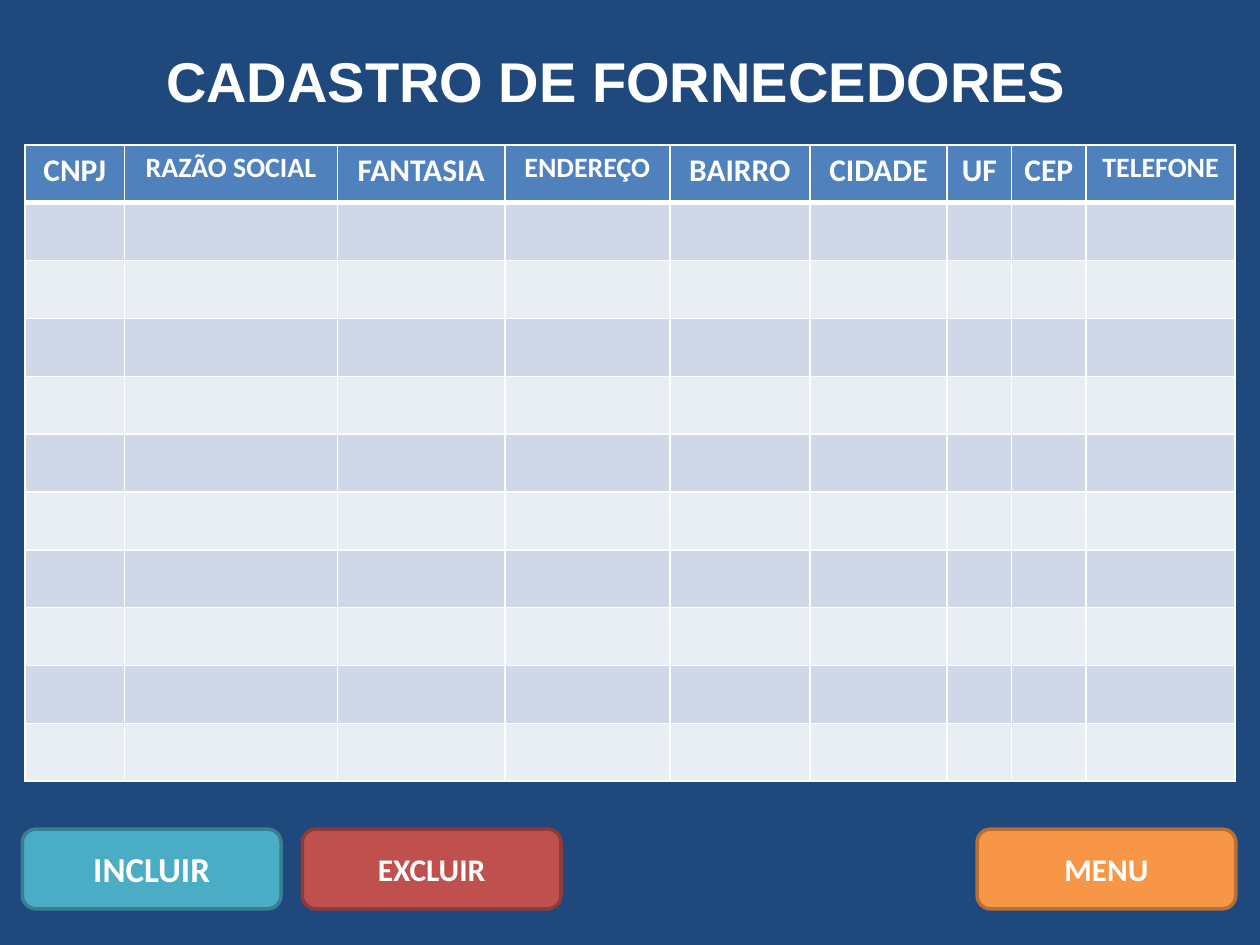
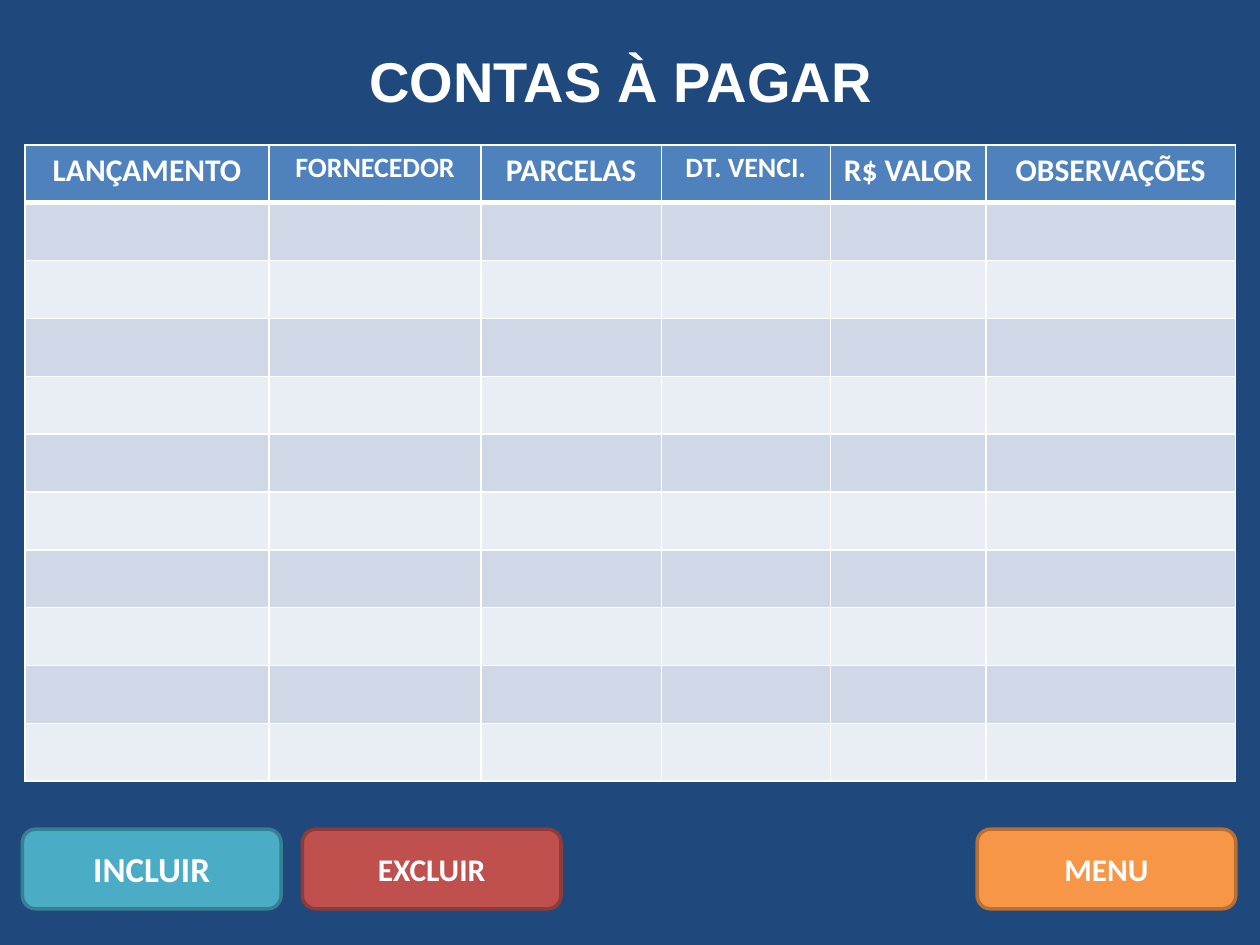
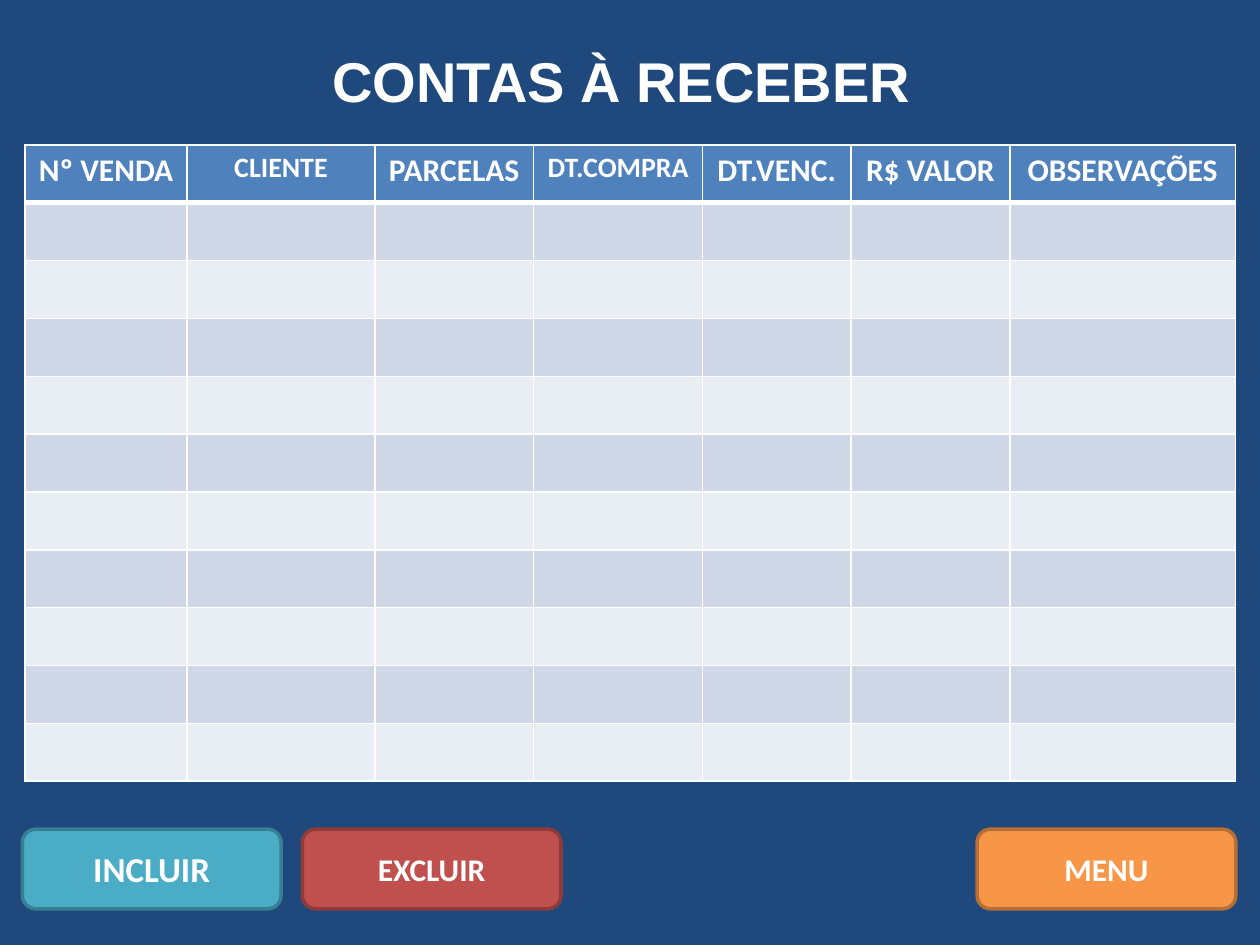
from dataclasses import dataclass
from typing import Any

from lxml import etree
from pptx import Presentation
from pptx import util as u
from pptx.dml.color import RGBColor
from pptx.enum import shapes, text
from pptx.oxml.ns import qn
from pptx.slide import Slide

COLOURS = {
    "background": "1F497D",
    "white": "FFFFFF",
    "header": "4F81BD",
    "odd_row": "D0D8E8",
    "even_row": "E9EDF4",
    "teal": "4BACC6",
    "teal_line": "377F92",
    "red": "C0504D",
    "red_line": "8E3B39",
    "orange": "F79646",
    "orange_line": "B76F34",
}

SLIDE_WIDTH, SLIDE_HEIGHT = 720, 540
TITLE_TOP, TITLE_HEIGHT = 23, 46
TABLE_LEFT, TABLE_TOP = 14.2, 82.8
ROW_COUNT, ROW_HEIGHT = 11, 33.06
BUTTON_TOP, BUTTON_WIDTH, BUTTON_HEIGHT = 473.8, 147.8, 45.5
THIN, THICK = 1, 3

TITLE_FONT = {"name": "Arial", "size": u.Pt(32), "bold": True}
LABEL_FONT = {"name": "Calibri", "size": u.Pt(18), "bold": True}


@dataclass
class Column:
    label: str
    width: float
    size: int = 18


@dataclass
class Button:
    label: str
    left: float
    colour: str
    size: int = 18


@dataclass
class Screen:
    title: str
    title_width: float
    columns: list[Column]


BUTTONS = [
    Button("INCLUIR", 12.8, "teal", 20),
    Button("EXCLUIR", 172.8, "red"),
    Button("MENU", 558.4, "orange"),
]

SCREENS = [
    Screen("CADASTRO DE FORNECEDORES", 544.4, [
        Column("CNPJ", 57),
        Column("RAZÃO SOCIAL", 121.7, 16),
        Column("FANTASIA", 95.6),
        Column("ENDEREÇO", 94.3, 16),
        Column("BAIRRO", 80.1),
        Column("CIDADE", 78.4),
        Column("UF", 36.8),
        Column("CEP", 42.7),
        Column("TELEFONE", 85, 16),
    ]),
    Screen("CONTAS À PAGAR", 312, [
        Column("LANÇAMENTO", 139.6),
        Column("FORNECEDOR", 121.1, 16),
        Column("PARCELAS", 103),
        Column("DT. VENCI.", 96.6, 16),
        Column("R$ VALOR", 89),
        Column("OBSERVAÇÕES", 142.5),
    ]),
    Screen("CONTAS À RECEBER", 354.2, [
        Column("Nº VENDA", 92.8),
        Column("CLIENTE", 107.2, 16),
        Column("PARCELAS", 90.8),
        Column("DT.COMPRA", 96.5, 16),
        Column("DT.VENC.", 84.8),
        Column("R$ VALOR", 90.8),
        Column("OBSERVAÇÕES", 129),
    ]),
]


def rgb(name: str) -> RGBColor:
    return RGBColor.from_string(COLOURS[name])


def apply_format(target: Any, values: dict[str, Any]) -> None:
    for name, value in values.items():
        setattr(target, name, value)


def write(frame: Any, words: str, font: dict[str, Any], alignment: Any) -> None:
    paragraph = frame.paragraphs[0]
    paragraph.alignment = alignment
    run = paragraph.add_run()
    run.text = words
    apply_format(run.font, font)
    run.font.color.rgb = rgb("white")


def fill_solid(target: Any, colour: str) -> None:
    target.fill.solid()
    target.fill.fore_color.rgb = rgb(colour)


def add_borders(cell: Any, top: float, bottom: float) -> None:
    """Draw white cell borders; call before the cell is filled."""
    properties = cell._tc.get_or_add_tcPr()
    widths = {"a:lnL": THIN, "a:lnR": THIN, "a:lnT": top, "a:lnB": bottom}
    for tag, width in widths.items():
        line = etree.SubElement(properties, qn(tag), w=str(u.Pt(width)))
        solid = etree.SubElement(line, qn("a:solidFill"))
        etree.SubElement(solid, qn("a:srgbClr"), val=COLOURS["white"])


def add_title(slide: Slide, screen: Screen) -> None:
    left = (SLIDE_WIDTH - screen.title_width) / 2
    box = slide.shapes.add_textbox(
        u.Pt(left), u.Pt(TITLE_TOP), u.Pt(screen.title_width), u.Pt(TITLE_HEIGHT))
    apply_format(box.text_frame, {
        "word_wrap": True,
        "vertical_anchor": text.MSO_ANCHOR.MIDDLE,
        "auto_size": text.MSO_AUTO_SIZE.SHAPE_TO_FIT_TEXT,
    })
    write(box.text_frame, screen.title, TITLE_FONT, text.PP_ALIGN.LEFT)


def add_grid(slide: Slide, columns: list[Column]) -> None:
    width = sum(column.width for column in columns)
    table = slide.shapes.add_table(
        ROW_COUNT, len(columns), u.Pt(TABLE_LEFT), u.Pt(TABLE_TOP),
        u.Pt(width), u.Pt(ROW_COUNT * ROW_HEIGHT)).table
    table.horz_banding = False

    for row in table.rows:
        row.height = u.Pt(ROW_HEIGHT)
    for column_index, column in enumerate(columns):
        table.columns[column_index].width = u.Pt(column.width)
        for row_index in range(ROW_COUNT):
            cell = table.cell(row_index, column_index)
            add_borders(cell,
                        top=THICK if row_index == 1 else THIN,
                        bottom=THICK if row_index == 0 else THIN)
            if row_index == 0:
                fill_solid(cell, "header")
                font = LABEL_FONT | {"size": u.Pt(column.size)}
                write(cell.text_frame, column.label, font, text.PP_ALIGN.CENTER)
            else:
                fill_solid(cell, "odd_row" if row_index % 2 else "even_row")


def add_button(slide: Slide, button: Button) -> None:
    shape = slide.shapes.add_shape(
        shapes.MSO_SHAPE.ROUNDED_RECTANGLE, u.Pt(button.left), u.Pt(BUTTON_TOP),
        u.Pt(BUTTON_WIDTH), u.Pt(BUTTON_HEIGHT))
    shape.shadow.inherit = False
    fill_solid(shape, button.colour)
    shape.line.color.rgb = rgb(button.colour + "_line")
    shape.line.width = u.Pt(2)
    shape.text_frame.vertical_anchor = text.MSO_ANCHOR.MIDDLE
    font = LABEL_FONT | {"size": u.Pt(button.size)}
    write(shape.text_frame, button.label, font, text.PP_ALIGN.CENTER)


def main() -> None:
    presentation = Presentation()
    presentation.slide_width = u.Pt(SLIDE_WIDTH)
    presentation.slide_height = u.Pt(SLIDE_HEIGHT)
    blank = presentation.slide_layouts[6]

    for screen in SCREENS:
        slide = presentation.slides.add_slide(blank)
        fill_solid(slide.background, "background")
        add_grid(slide, screen.columns)
        for button in BUTTONS:
            add_button(slide, button)
        add_title(slide, screen)

    presentation.save("out.pptx")


main()
